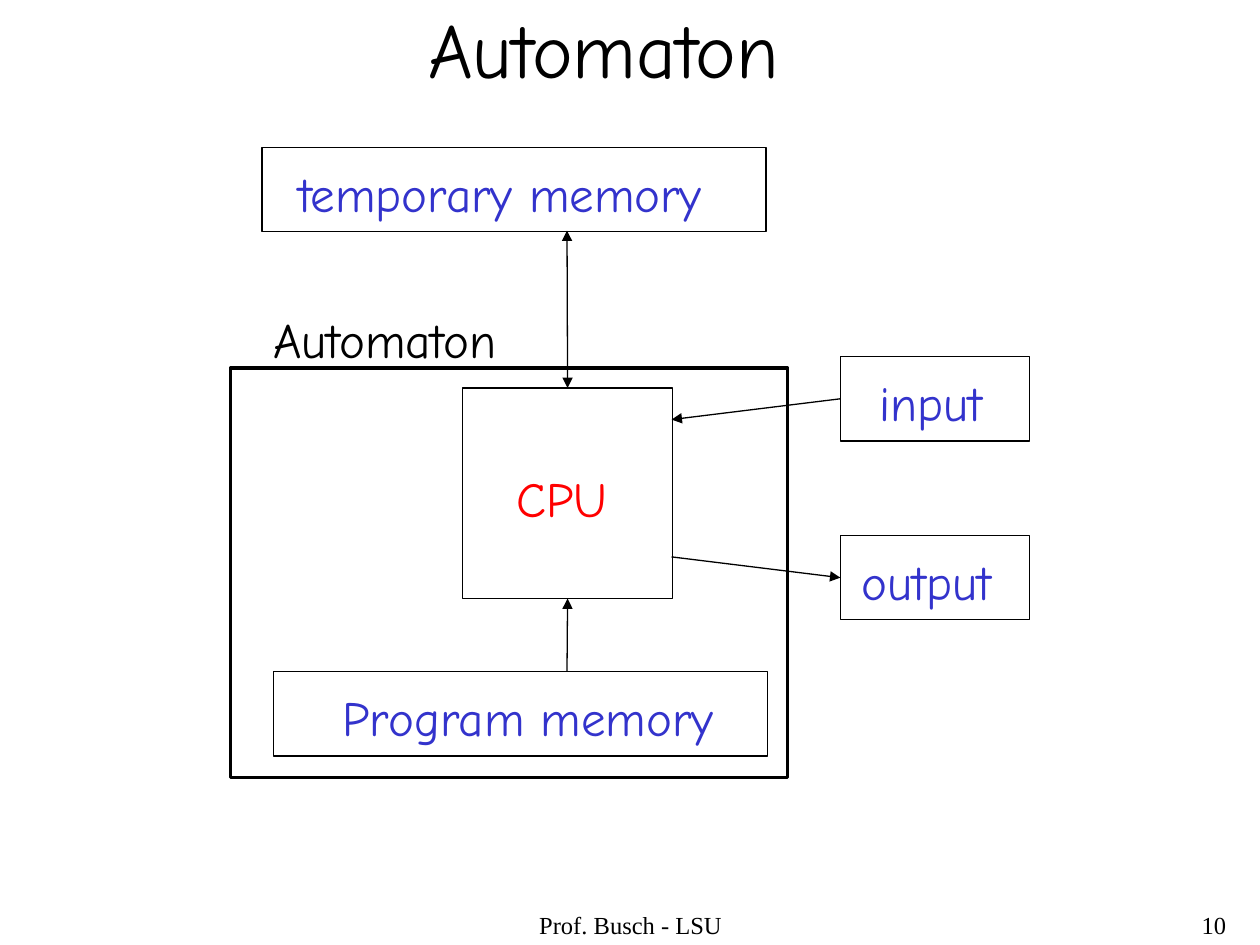
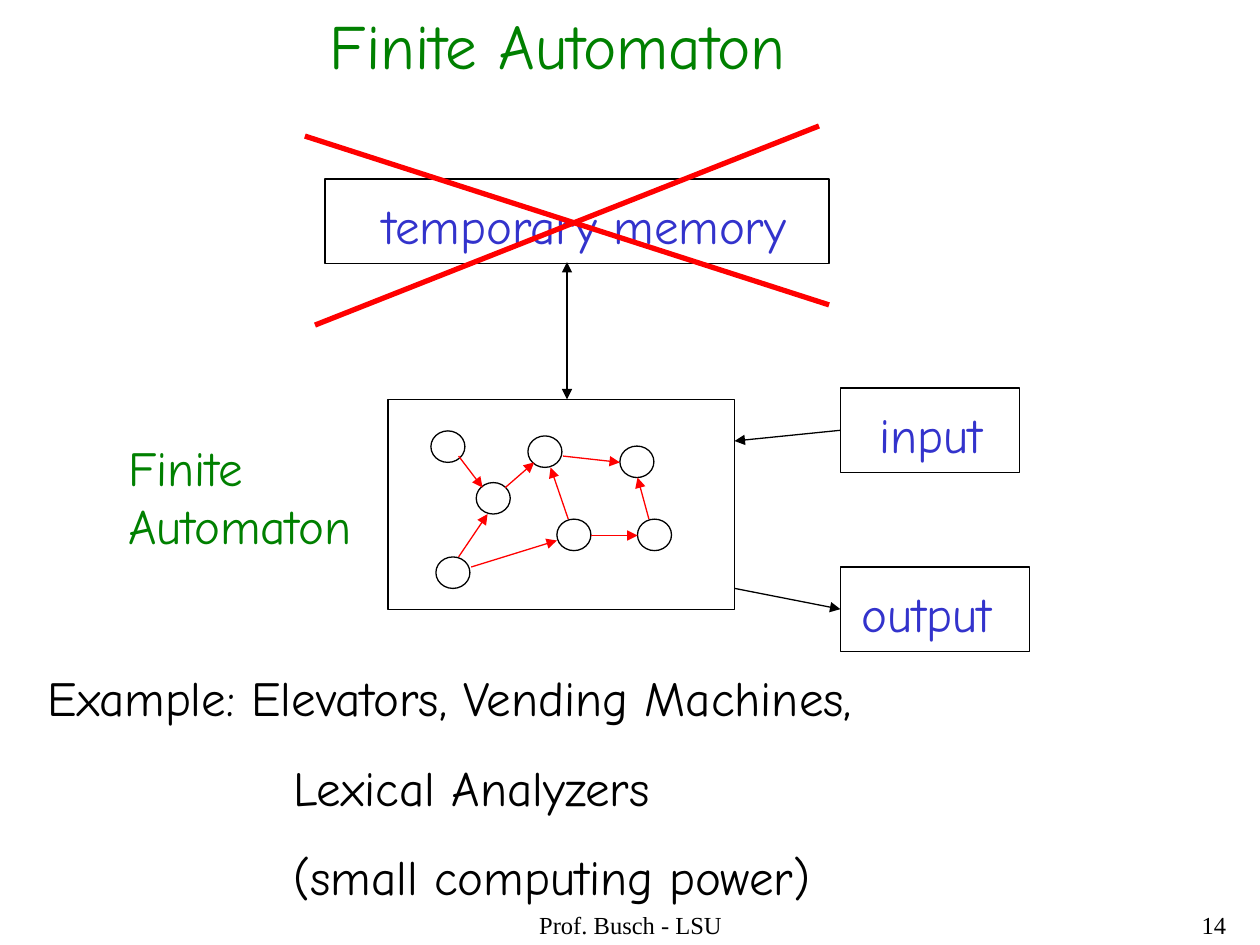
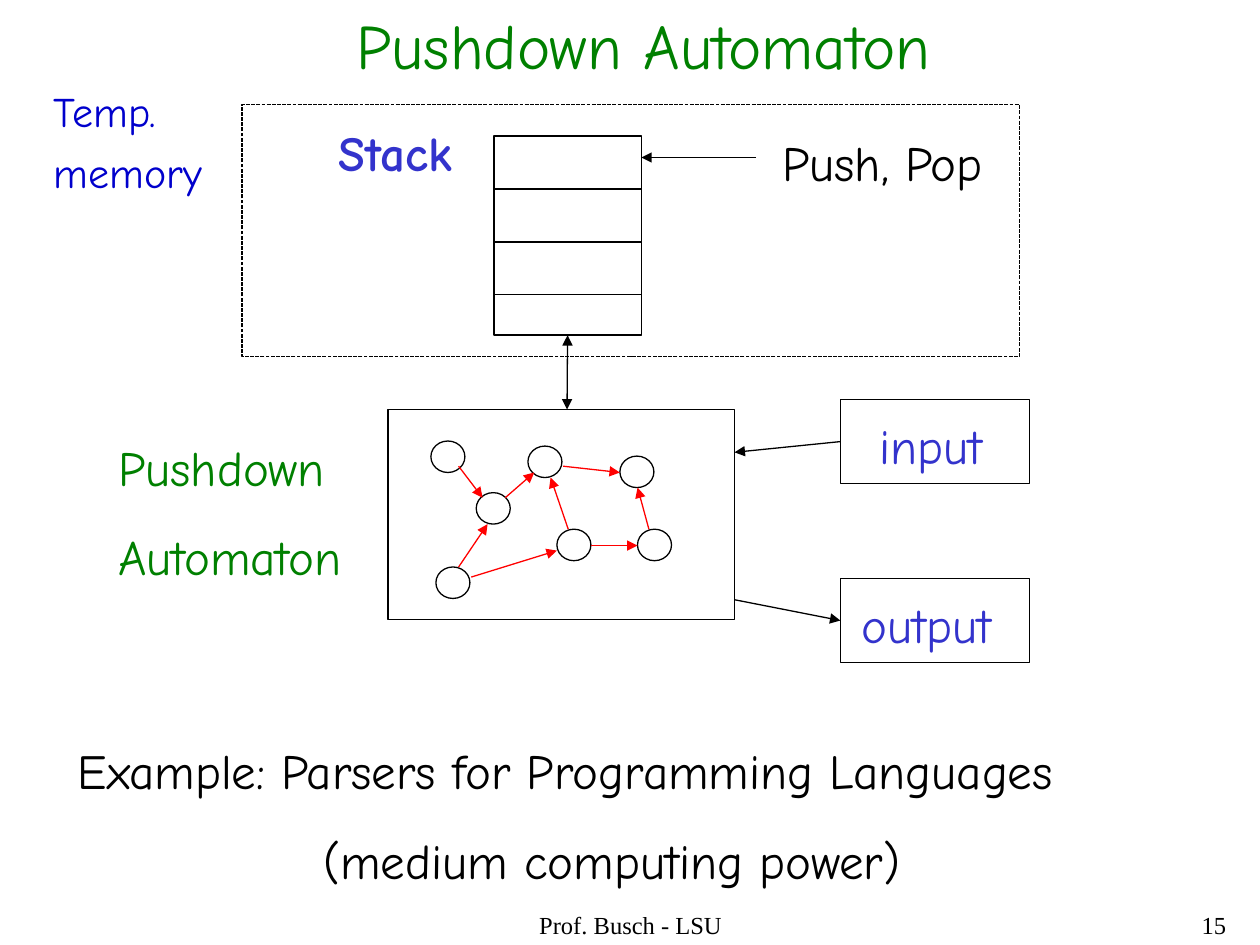
from lxml import etree
from pptx import Presentation
from pptx.dml.color import RGBColor
from pptx.enum.dml import MSO_LINE
from pptx.enum.shapes import MSO_CONNECTOR, MSO_SHAPE
from pptx.enum.text import PP_ALIGN
from pptx.oxml.ns import qn
from pptx.util import Inches, Pt

BLACK = RGBColor(0x00, 0x00, 0x00)
RED = RGBColor(0xFF, 0x00, 0x00)
GREEN = RGBColor(0x00, 0x80, 0x00)
INDIGO = RGBColor(0x33, 0x33, 0xCC)
BLUE = RGBColor(0x00, 0x00, 0xCC)

HAND_FONT = "Comic Neue"
FOOTER_FONT = "Times New Roman"
BODY_SIZE = 28
THIN = 0.75

RECT, OVAL = MSO_SHAPE.RECTANGLE, MSO_SHAPE.OVAL
STRAIGHT = MSO_CONNECTOR.STRAIGHT
DOTTED = MSO_LINE.SQUARE_DOT
LEFT, CENTER, RIGHT = PP_ALIGN.LEFT, PP_ALIGN.CENTER, PP_ALIGN.RIGHT
TOP_SIDE, LEFT_SIDE, BOTTOM_SIDE = 0, 1, 2

BOX_HEIGHT = 0.67
IO_LEFT = 6.67
IO_STEP = 1.42
OUTLET_DROP = 1.59
MACHINE_LEFT, MACHINE_WIDTH, MACHINE_HEIGHT = 3.08, 2.75, 1.67
MEMORY_LINK_X = 4.5
EXAMPLE_INDENT = 1.95

STATE_SIZE = (0.27, 0.25)
STATES = [(0.34, 0.25), (0.7, 0.66), (1.11, 0.29), (1.34, 0.95),
          (1.84, 0.37), (0.38, 1.25), (1.98, 0.95)]
TRANSITIONS = [
    ((0.56, 0.45), (0.75, 0.7)),
    ((0.93, 0.7), (1.16, 0.5)),
    ((1.39, 0.45), (1.84, 0.5)),
    ((1.43, 0.95), (1.29, 0.54)),
    ((0.56, 1.25), (0.79, 0.91)),
    ((0.66, 1.33), (1.34, 1.12)),
    ((1.61, 1.08), (1.98, 1.08)),
    ((2.07, 0.95), (1.98, 0.62)),
]


def add_text(slide, box, lines, color=BLACK, size=BODY_SIZE, font=HAND_FONT,
             align=LEFT, bold=False, wrap=False, gap=17.5, indent=0):
    """Add a text box with one paragraph per line; lines after the first are indented."""
    frame = slide.shapes.add_textbox(*map(Inches, box)).text_frame
    frame.word_wrap = wrap
    for number, line in enumerate(lines):
        paragraph = frame.add_paragraph() if number else frame.paragraphs[0]
        paragraph.alignment = align
        if number:
            paragraph.space_before = Pt(gap)
            if indent:
                paragraph._p.get_or_add_pPr().set("marL", str(Inches(indent)))
        run = paragraph.add_run()
        run.text = line
        run.font.name = font
        run.font.size = Pt(size)
        run.font.bold = bold
        run.font.color.rgb = color


def add_outline(shapes, box, kind=RECT, width=THIN, dash=None):
    """Add an unfilled black outline and return it."""
    outline = shapes.add_shape(kind, *map(Inches, box))
    outline.shadow.inherit = False
    outline.fill.background()
    outline.line.color.rgb = BLACK
    outline.line.width = Pt(width)
    if dash:
        outline.line.dash_style = dash
    return outline


def add_line(shapes, start, end, color=BLACK, width=THIN, arrows="",
             begin_at=None, end_at=None):
    """Add a straight line, with arrowheads at the ends that arrows names."""
    line = shapes.add_connector(STRAIGHT, *map(Inches, start + end))
    line.line.color.rgb = color
    line.line.width = Pt(width)
    for tag in arrows.split():
        etree.SubElement(line.line._get_or_add_ln(), qn("a:" + tag), type="triangle")
    etree.SubElement(line._element.spPr, qn("a:effectLst"))
    if begin_at:
        line.begin_connect(*begin_at)
    if end_at:
        line.end_connect(*end_at)


def add_labelled_box(slide, left, top, width, label, label_indent, label_width):
    """Add a box with its indigo label and return the box."""
    box = add_outline(slide.shapes, (left, top, width, BOX_HEIGHT))
    add_text(slide, (left + label_indent, top + 0.08, label_width, 0.57),
             [label], INDIGO)
    return box


def add_input_output(slide, top, edge, inlet_drop, input_width=1.5):
    """Add the input and output boxes with arrows to and from the machine's edge."""
    source = add_labelled_box(slide, IO_LEFT, top, input_width, "input", 0.21, 1.04)
    sink = add_labelled_box(slide, IO_LEFT, top + IO_STEP, 1.5, "output", 0.07, 1.25)
    middle = top + BOX_HEIGHT / 2
    add_line(slide.shapes, (IO_LEFT, middle), (edge, top + inlet_drop),
             arrows="tailEnd", begin_at=(source, LEFT_SIDE))
    add_line(slide.shapes, (edge, top + OUTLET_DROP), (IO_LEFT, middle + IO_STEP),
             arrows="tailEnd", end_at=(sink, LEFT_SIDE))


def add_machine(slide, top):
    """Add the machine box with its state graph inside."""
    add_outline(slide.shapes, (MACHINE_LEFT, top, MACHINE_WIDTH, MACHINE_HEIGHT))
    graph = slide.shapes.add_group_shape().shapes
    for x, y in STATES:
        add_outline(graph, (MACHINE_LEFT + x, top + y) + STATE_SIZE, OVAL)
    for start, end in TRANSITIONS:
        start, end = ((MACHINE_LEFT + x, top + y) for x, y in (start, end))
        add_line(graph, start, end, RED, arrows="tailEnd")


def add_memory_link(slide, top, bottom, **joins):
    """Add the two-way arrow between the memory and the machine."""
    add_line(slide.shapes, (MEMORY_LINK_X, top), (MEMORY_LINK_X, bottom),
             arrows="headEnd tailEnd", **joins)


def add_stack(slide, left, top, width, height):
    """Add the stack with its cells, its name and the push and pop arrow."""
    stack = add_outline(slide.shapes, (left, top, width, height))
    for cell in range(1, 4):
        y = top + cell * 0.42
        add_line(slide.shapes, (left, y), (left + width, y))
    add_line(slide.shapes, (left + 2.08, top + 0.17), (left + width, top + 0.17),
             arrows="tailEnd")
    add_text(slide, (left - 1.33, top - 0.16, 1.13, 0.57), ["Stack"], INDIGO, bold=True)
    add_text(slide, (left + 2.19, top - 0.08, 1.83, 0.57), ["Push, Pop"])
    return stack


def add_base(deck, number, title, box, color=GREEN, size=36):
    """Add a slide with its title, footer and page number."""
    slide = deck.slides.add_slide(deck.slide_layouts[6])
    for left, width, line, align in ((3.42, 3.17, "Prof. Busch - LSU", CENTER),
                                     (7.75, 2.08, number, RIGHT)):
        add_text(slide, (left, 7.17, width, 0.33), [line], size=14,
                 font=FOOTER_FONT, align=align, wrap=True)
    add_text(slide, box, [title], color, size)
    return slide


def build_automaton(deck):
    """Build the general automaton slide."""
    slide = add_base(deck, "10", "Automaton", (3.3, -0.04, 3.02, 0.84), BLACK, 44)
    cpu = add_outline(slide.shapes, (3.67, 3.08, 1.67, 1.67))
    add_text(slide, (4, 3.67, 1, 0.57), ["CPU"], RED)
    add_labelled_box(slide, 2.08, 1.17, 4, "temporary memory", 0.19, 3.44)
    add_labelled_box(slide, 2.17, 5.33, 3.92, "Program memory", 0.45, 3.18)
    add_input_output(slide, 2.83, 5.33, 0.5)
    add_memory_link(slide, 1.83, 3.08, end_at=(cpu, TOP_SIDE))
    add_line(slide.shapes, (MEMORY_LINK_X, 5.33), (MEMORY_LINK_X, 4.75),
             arrows="tailEnd", end_at=(cpu, BOTTOM_SIDE))
    add_outline(slide.shapes, (1.83, 2.92, 4.42, 3.25), width=2)
    add_text(slide, (2.07, 2.41, 2.01, 0.57), ["Automaton"])


def build_finite_automaton(deck):
    """Build the finite automaton slide, with its memory crossed out."""
    slide = add_base(deck, "14", "Finite Automaton", (2.52, 0, 3.88, 0.7))
    add_labelled_box(slide, 2.58, 1.42, 4, "temporary memory", 0.36, 3.44)
    add_input_output(slide, 3.08, MACHINE_LEFT + MACHINE_WIDTH, 0.42, 1.42)
    add_memory_link(slide, 2.08, 3.17)
    add_machine(slide, 3.17)
    add_text(slide, (0.92, 3.42, 2.33, 1.04), ["Finite Automaton"], GREEN, wrap=True)
    for start, end in (((2.42, 1.08), (6.58, 2.42)), ((2.5, 2.58), (6.5, 1))):
        add_line(slide.shapes, start, end, RED, 3)
    add_text(slide, (0.28, 5.25, 6.78, 1.99),
             ["Example: Elevators, Vending Machines,", "Lexical Analyzers",
              "(small computing power)"], indent=EXAMPLE_INDENT)


def build_pushdown_automaton(deck):
    """Build the pushdown automaton slide, with a stack as its memory."""
    slide = add_base(deck, "15", "Pushdown Automaton", (2.73, 0, 4.81, 0.7))
    add_input_output(slide, 3.17, MACHINE_LEFT + MACHINE_WIDTH, 0.42)
    add_machine(slide, 3.25)
    add_text(slide, (0.84, 3.42, 2.01, 1.28), ["Pushdown", "Automaton"], GREEN)
    add_text(slide, (0.52, 5.83, 8.27, 1.28),
             ["Example: Parsers for Programming Languages",
              "(medium computing power)"], indent=EXAMPLE_INDENT)
    stack = add_stack(slide, 3.92, 1.08, 1.17, 1.58)
    add_memory_link(slide, 2.67, 3.25, begin_at=(stack, BOTTOM_SIDE))
    add_outline(slide.shapes, (1.92, 0.83, 6.17, 2), dash=DOTTED)
    add_text(slide, (0.33, 0.63, 1.45, 0.99), ["Temp.", "memory"], BLUE, 24, gap=6)


def main():
    """Build and save the deck."""
    deck = Presentation()
    deck.slide_width, deck.slide_height = Inches(10), Inches(7.5)
    build_automaton(deck)
    build_finite_automaton(deck)
    build_pushdown_automaton(deck)
    deck.save("out.pptx")


if __name__ == "__main__":
    main()
